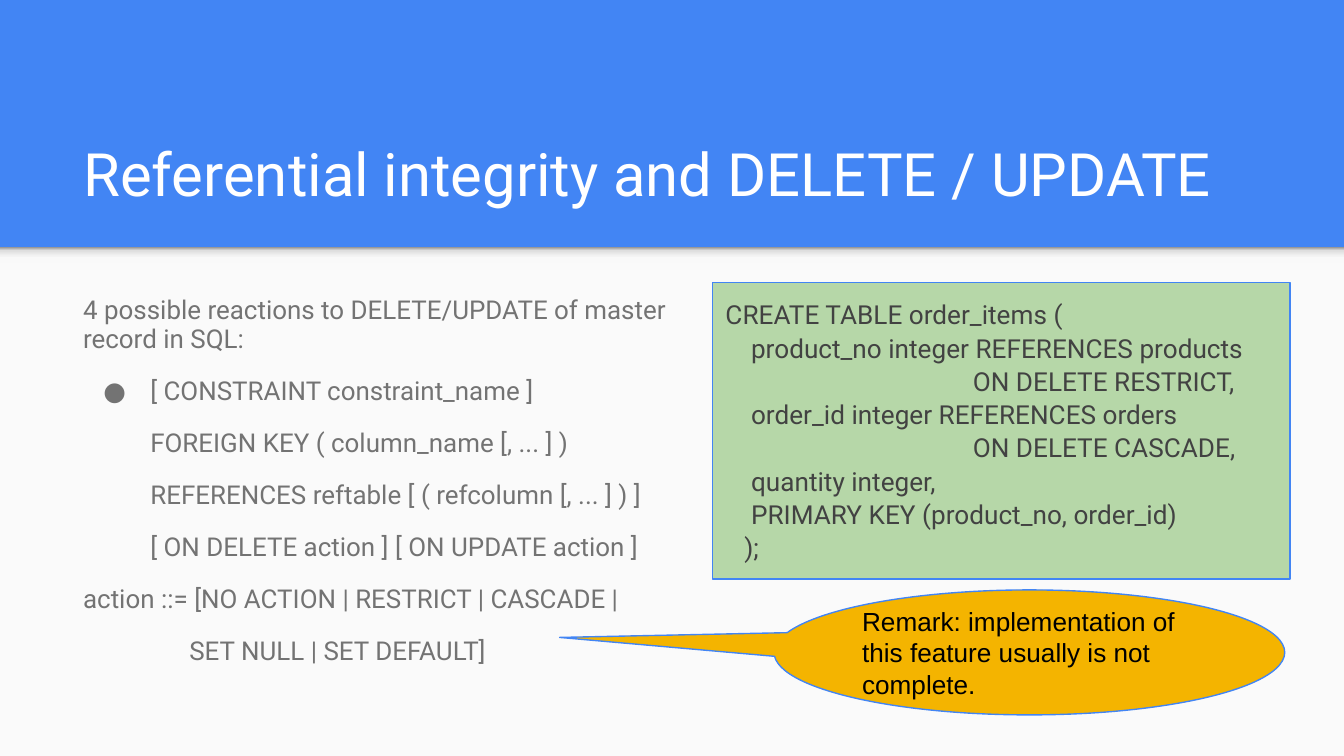
"""Build a slide on referential integrity with DELETE and UPDATE in SQL."""
from copy import deepcopy

from lxml.etree import SubElement
from pptx import Presentation
from pptx.dml.color import RGBColor
from pptx.enum.shapes import MSO_SHAPE as Shape
from pptx.enum.text import MSO_ANCHOR as Anchor, MSO_AUTO_SIZE as AutoSize, PP_ALIGN as Align
from pptx.oxml.ns import qn
from pptx.util import Inches, Pt

BLUE = RGBColor(0x42, 0x85, 0xF4)
PAPER = RGBColor(0xFA, 0xFA, 0xFA)
WHITE = RGBColor(0xFF, 0xFF, 0xFF)
BLACK = RGBColor(0, 0, 0)
GRAY = RGBColor(0x73, 0x73, 0x73)
DARK = RGBColor(0x42, 0x42, 0x42)
GREEN = RGBColor(0xB6, 0xD7, 0xA8)
AMBER = RGBColor(0xF4, 0xB4, 0x00)
PALE = RGBColor(0xF9, 0xF9, 0xF9)
SHADE = [(0, PALE), (0.36, PALE), (0.8, RGBColor(0xDE, 0xDE, 0xDE)),
         (1, RGBColor(0x99, 0x99, 0x99))]

TITLE = "Referential integrity and DELETE / UPDATE"
SYNTAX = [
    ("4 possible reactions to DELETE/UPDATE of master record in SQL:", 0),
    ("[ CONSTRAINT constraint_name ]", 0.5),
    ("FOREIGN KEY ( column_name [, ... ] )", 0.5),
    ("REFERENCES reftable [ ( refcolumn [, ... ] ) ]", 0.5),
    ("[ ON DELETE action ] [ ON UPDATE action ]", 0.5),
    ("action ::= [NO ACTION | RESTRICT | CASCADE |", 0),
    ("SET NULL | SET DEFAULT]", 0.79),
]
BULLETED = 1
CODE = [
    ("CREATE TABLE order_items (", 0),
    ("product_no integer REFERENCES products", 0.19),
    ("ON DELETE RESTRICT,", 1.84),
    ("order_id integer REFERENCES orders", 0.19),
    ("ON DELETE CASCADE,", 1.84),
    ("quantity integer,", 0.19),
    ("PRIMARY KEY (product_no, order_id)", 0.19),
    (");", 0.14),
]
REMARK = "Remark: implementation of this feature usually is not complete."

WIDTH = 10
HEIGHT = WIDTH * 9 / 16
HEADER, LEFT, TOP = 1.84, 0.52, 2.1


def inches(*lengths):
    return [Inches(length) for length in lengths]


def write(box, lines, size, color, font="Roboto", anchor=Anchor.TOP, gap=0, spacing=1):
    frame = box.text_frame
    frame.word_wrap, frame.auto_size = True, AutoSize.NONE
    frame.vertical_anchor = anchor
    frame.margin_left = frame.margin_right = Inches(0.1)
    frame.margin_top = frame.margin_bottom = Inches(0.1)
    for index, (text, indent) in enumerate(lines):
        para = frame.paragraphs[0] if index == 0 else frame.add_paragraph()
        para.alignment, para.line_spacing = Align.LEFT, spacing
        para.space_before = Pt(gap if index else 0)
        para.space_after = Pt(gap if index == len(lines) - 1 else 0)
        para._p.get_or_add_pPr().set("marL", str(Inches(indent)))
        span = para.add_run()
        span.text = text
        span.font.name, span.font.size = font, Pt(size)
        span.font.color.rgb = color
    return frame


def add_bullet(para, hanging, color, font="Roboto"):
    props = para._p.get_or_add_pPr()
    props.set("indent", str(-Inches(hanging)))
    tint = SubElement(SubElement(props, qn("a:buClr")), qn("a:srgbClr"))
    tint.set("val", str(color))
    SubElement(props, qn("a:buFont")).set("typeface", font)
    SubElement(props, qn("a:buChar")).set("char", "●")


def add_panel(page, kind, place, fill=None, line=None):
    panel = page.shapes.add_shape(kind, *inches(*place))
    panel.shadow.inherit = False
    if fill is not None:
        panel.fill.solid()
        panel.fill.fore_color.rgb = fill
    if line is None:
        panel.line.fill.background()
    else:
        panel.line.color.rgb, panel.line.width = line, Pt(0.75)
    return panel


def add_shade(page, place):
    band = add_panel(page, Shape.RECTANGLE, place)
    band.fill.gradient()
    band.fill.gradient_angle = 90
    stops = band._element.spPr.find(qn("a:gradFill")).find(qn("a:gsLst"))
    while len(stops) < len(SHADE):
        stops.append(deepcopy(stops[0]))
    for stop, (position, color) in zip(band.fill.gradient_stops, SHADE):
        stop.position, stop.color.rgb = position, color


def main():
    deck = Presentation()
    deck.slide_width, deck.slide_height = inches(WIDTH, HEIGHT)
    page = deck.slides.add_slide(deck.slide_layouts[5])
    page.background.fill.solid()
    page.background.fill.fore_color.rgb = BLUE

    add_panel(page, Shape.RECTANGLE, (0, HEADER, WIDTH, HEIGHT - HEADER), PAPER)
    add_shade(page, (0, HEADER, WIDTH, 0.12))

    title = page.shapes.title
    title.left, title.top, title.width, title.height = inches(LEFT, 0.81, 8.99, 0.84)
    write(title, [(TITLE, 0)], 32, WHITE, anchor=Anchor.BOTTOM)

    syntax = page.shapes.add_textbox(*inches(LEFT, TOP, 4.62, 3.09))
    frame = write(syntax, SYNTAX, 13.9, GRAY, gap=12, spacing=0.95)
    add_bullet(frame.paragraphs[BULLETED], 0.35, GRAY)

    code = add_panel(page, Shape.RECTANGLE, (5.3, TOP, 4.3, 2.21), GREEN, BLUE)
    write(code, CODE, 14, DARK, anchor=Anchor.MIDDLE, gap=1)

    remark = add_panel(page, Shape.OVAL_CALLOUT, (5.76, 4.39, 3.8, 0.93), AMBER, BLUE)
    remark.adjustments[0], remark.adjustments[1] = -0.92, -0.12
    write(remark, [(REMARK, 0)], 14, BLACK, font="Arial", anchor=Anchor.MIDDLE)

    deck.save("out.pptx")


if __name__ == "__main__":
    main()
